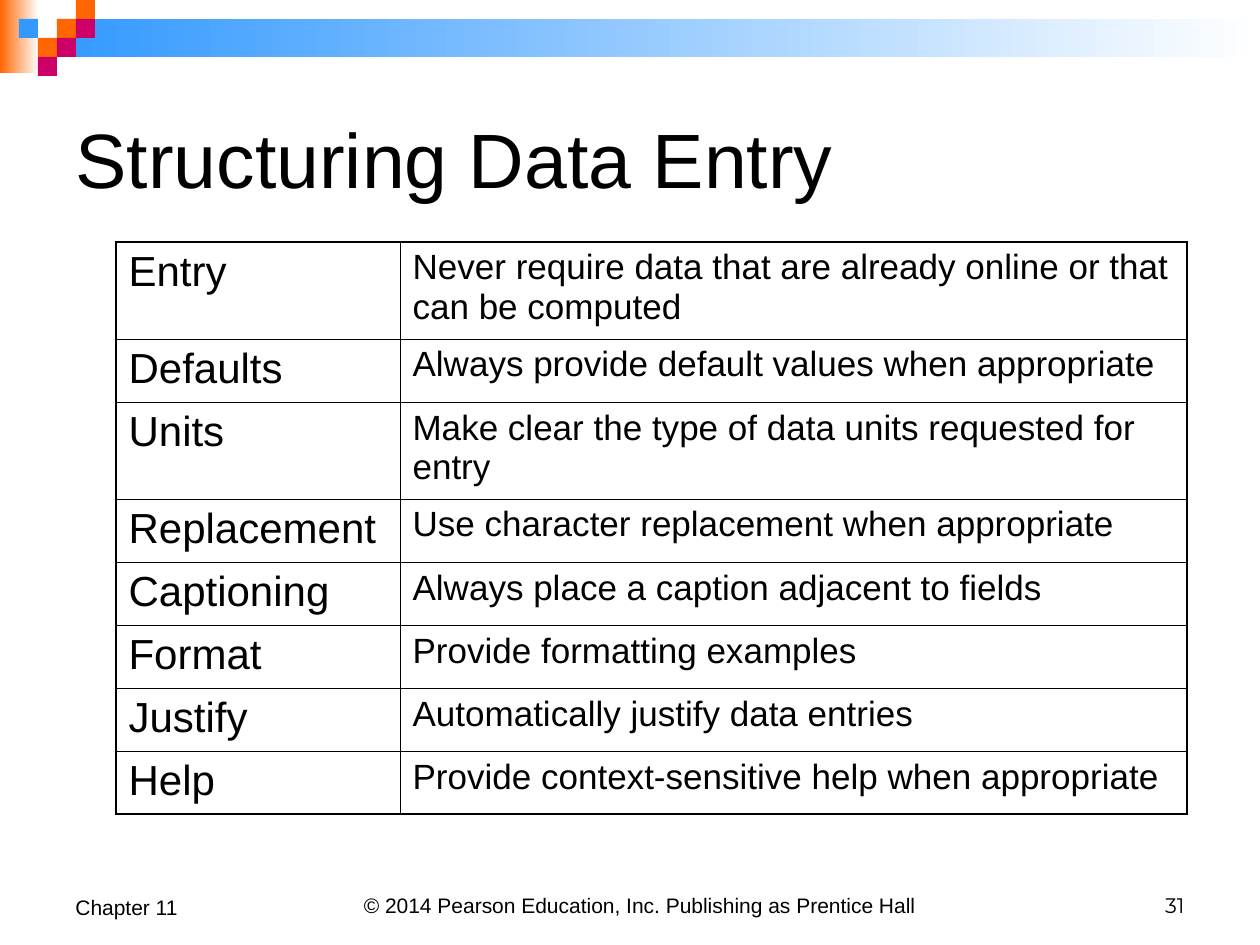
"""Build the "Structuring Data Entry" slide."""
from lxml import etree
from pptx import Presentation
from pptx.dml.color import RGBColor
from pptx.enum.shapes import MSO_SHAPE
from pptx.enum.text import MSO_ANCHOR, PP_ALIGN
from pptx.oxml.ns import qn
from pptx.util import Pt

PX = 914400 / 126
RECT = MSO_SHAPE.RECTANGLE
LEFT, CENTER, RIGHT = PP_ALIGN.LEFT, PP_ALIGN.CENTER, PP_ALIGN.RIGHT
TOP, MIDDLE, BOTTOM = MSO_ANCHOR.TOP, MSO_ANCHOR.MIDDLE, MSO_ANCHOR.BOTTOM
COLORS = {"orange": "FF6600", "blue": "3399FF", "magenta": "CC0066",
          "white": "FFFFFF", "black": "000000"}


def px(*lengths):
    return [round(n * PX) for n in lengths]


def write(tf, text, size=12, font="Arial", align=LEFT, anchor=TOP):
    tf.word_wrap = True
    tf.vertical_anchor = anchor
    p = tf.paragraphs[0]
    p.alignment = align
    r = p.add_run()
    r.text = text
    r.font.size = Pt(size)
    r.font.name = font
    r.font.color.rgb = RGBColor.from_string(COLORS["black"])


prs = Presentation()
prs.slide_width, prs.slide_height = px(1260, 945)
s = prs.slides.add_slide(prs.slide_layouts[5])

bands = [((0, 0, 39, 73), "orange"), ((57, 19, 1203, 38), "blue")]
for box, color in bands:
    sp = s.shapes.add_shape(RECT, *px(*box))
    sp.shadow.inherit = False
    sp.line.fill.background()
    sp.fill.gradient()
    sp.fill.gradient_angle = 0
    for stop, name in zip(sp.fill.gradient_stops, (color, "white")):
        stop.color.rgb = RGBColor.from_string(COLORS[name])

SQUARE = 19
squares = [(3, 1, "orange"), (4, 0, "orange"), (4, 1, "magenta"), (2, 2, "orange"),
           (1, 1, "blue"), (3, 2, "magenta"), (2, 3, "magenta")]
for col, row, color in squares:
    sp = s.shapes.add_shape(RECT, *px(col * SQUARE, row * SQUARE, SQUARE, SQUARE))
    sp.shadow.inherit = False
    sp.line.fill.background()
    sp.fill.solid()
    sp.fill.fore_color.rgb = RGBColor.from_string(COLORS[color])

footers = [
    ((325, 861, 630, 63), "© 2014 Pearson Education, Inc. Publishing as Prentice Hall", "Arial", CENTER),
    ((903, 861, 294, 63), "31", "Montserrat", RIGHT),
    ((63, 861, 294, 65), "Chapter 11", "Arial", LEFT),
]
for box, text, font, align in footers:
    sp = s.shapes.add_textbox(*px(*box))
    write(sp.text_frame, text, font=font, align=align, anchor=BOTTOM)

title = s.shapes.title
title.left, title.top, title.width, title.height = px(63, 63, 1134, 189)
write(title.text_frame, "Structuring Data Entry", size=44, anchor=MIDDLE)

guidelines = [
    ("Entry", "Never require data that are already online or that can be computed", 97),
    ("Defaults", "Always provide default values when appropriate", 63),
    ("Units", "Make clear the type of data units requested for entry", 97),
    ("Replacement", "Use character replacement when appropriate", 63),
    ("Captioning", "Always place a caption adjacent to fields", 63),
    ("Format", "Provide formatting examples", 63),
    ("Justify", "Automatically justify data entries", 63),
    ("Help", "Provide context-sensitive help when appropriate", 63),
]
last = len(guidelines) - 1
table = s.shapes.add_table(len(guidelines), 2, *px(116, 242, 1071, 572)).table
table.first_row = table.horz_banding = False
for column, width in zip(table.columns, px(284, 787)):
    column.width = width
for i, (term, advice, height) in enumerate(guidelines):
    table.rows[i].height = px(height)[0]
    for j, (text, size) in enumerate([(term, 24), (advice, 20)]):
        cell = table.cell(i, j)
        write(cell.text_frame, text, size=size)
        tcPr = cell._tc.get_or_add_tcPr()
        outer = {"lnL": j == 0, "lnR": j == 1, "lnT": i == 0, "lnB": i == last}
        for edge, is_outer in outer.items():
            width = Pt(1.08) if is_outer else Pt(0.45)
            ln = etree.SubElement(tcPr, qn(f"a:{edge}"), w=str(width))
            fill = etree.SubElement(ln, qn("a:solidFill"))
            etree.SubElement(fill, qn("a:srgbClr"), val=COLORS["black"])
        cell.fill.background()

prs.save("out.pptx")
